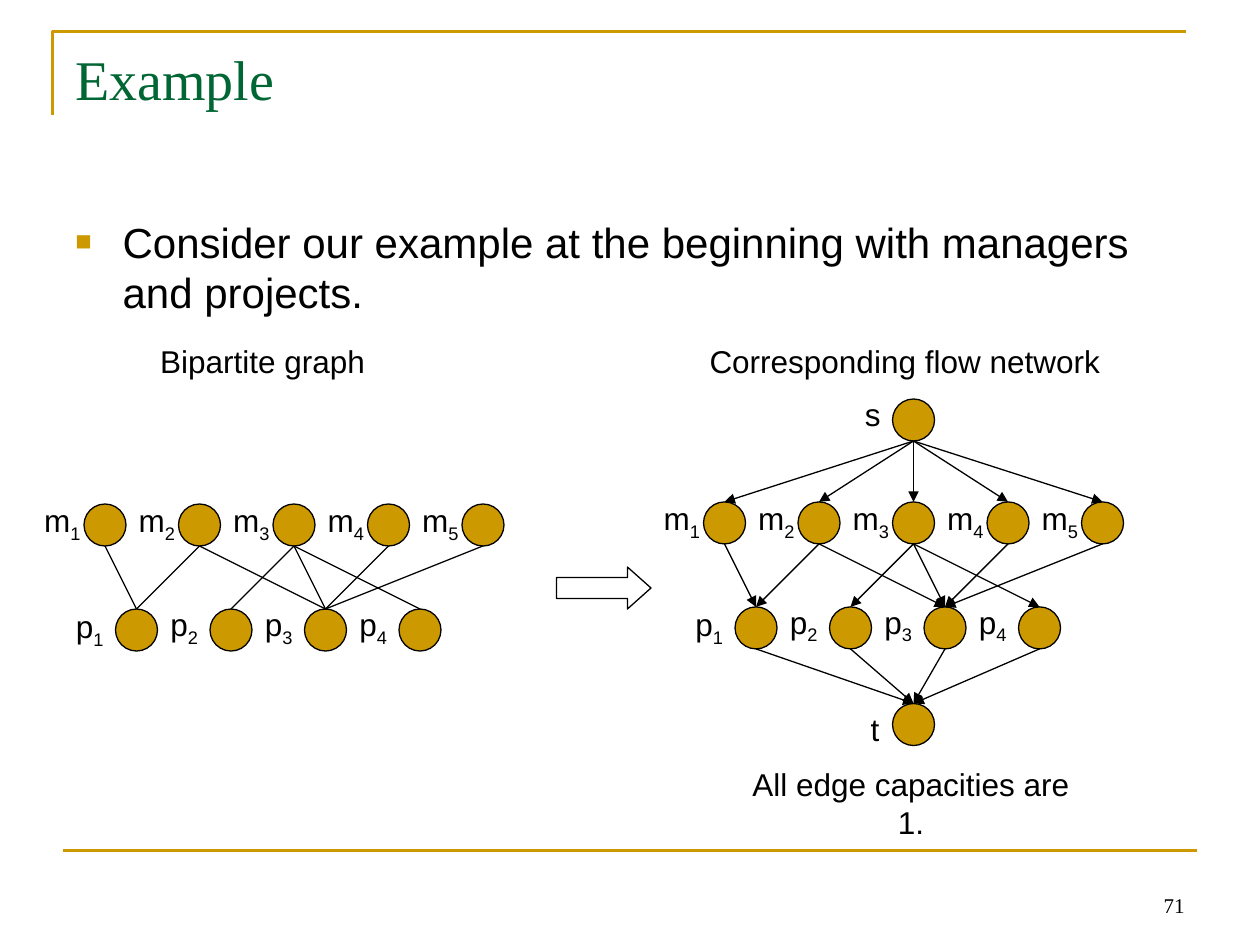
from dataclasses import dataclass

from lxml import etree
from pptx import Presentation
from pptx import util as u
from pptx.dml.color import RGBColor
from pptx.enum import shapes, text
from pptx.oxml import ns

GOLD, GREEN, BLACK = "CC9900", "006633", "000000"
DIAMETER = 24
PITCH = 54
MATCHES = [(1, 1), (2, 1), (2, 3), (3, 2), (3, 3), (3, 4), (4, 3), (5, 3)]


@dataclass(frozen=True)
class Node:
    name: str
    x: float
    y: float
    label_dx: float
    label_dy: float
    label_width: float


@dataclass(frozen=True)
class Caption:
    wording: str
    x: float
    y: float
    width: float


def color(value: str) -> RGBColor:
    return RGBColor.from_string(value)


def add_xml(parent, tag: str, **attributes: str):
    return etree.SubElement(parent, ns.qn(tag), attributes)


def add_text(slide, wording: str, x: float, y: float, width: float, height: float = 28.8, *,
             subscript: str = "", size: float = 18, font: str = "Arial", fill: str = BLACK,
             align=text.PP_ALIGN.CENTER, anchor=text.MSO_ANCHOR.TOP, wrap: bool = False):
    box = slide.shapes.add_textbox(u.Pt(x), u.Pt(y), u.Pt(width), u.Pt(height))
    frame = box.text_frame
    frame.word_wrap = wrap
    frame.vertical_anchor = anchor
    paragraph = frame.paragraphs[0]
    paragraph.alignment = align
    for part, baseline in ((wording, 0), (subscript, -25000)):
        if part:
            run = paragraph.add_run()
            run.text = part
            run.font.size = u.Pt(size)
            run.font.name = font
            run.font.color.rgb = color(fill)
            if baseline:
                run.font._element.set("baseline", str(baseline))
    return paragraph


def add_bullet(paragraph) -> None:
    paragraph.space_before = u.Pt(4.8)
    properties = paragraph._p.get_or_add_pPr()
    properties.set("marL", str(u.Pt(27)))
    properties.set("indent", str(u.Pt(-27)))
    add_xml(add_xml(properties, "a:buClr"), "a:srgbClr", val=GOLD)
    add_xml(properties, "a:buSzPct", val="65000")
    add_xml(properties, "a:buFont", typeface="Arial")
    add_xml(properties, "a:buChar", char="■")


def style_shape(shape, fill: str = "", line: str = BLACK, weight: float = 0.75) -> None:
    shape.shadow.inherit = False
    if fill:
        shape.fill.solid()
        shape.fill.fore_color.rgb = color(fill)
    else:
        shape.fill.background()
    shape.line.color.rgb = color(line)
    shape.line.width = u.Pt(weight)


def add_line(slide, start: tuple[float, float], end: tuple[float, float],
             line: str = BLACK, weight: float = 0.75, arrow: bool = False):
    connector = slide.shapes.add_connector(
        shapes.MSO_CONNECTOR.STRAIGHT, *(u.Pt(value) for value in start + end))
    connector.line.color.rgb = color(line)
    connector.line.width = u.Pt(weight)
    if arrow:
        add_xml(connector.line._get_or_add_ln(), "a:tailEnd", type="triangle")
    add_xml(connector._element.spPr, "a:effectLst")
    return connector


def add_node(slide, node: Node):
    circle = slide.shapes.add_shape(shapes.MSO_SHAPE.OVAL, u.Pt(node.x), u.Pt(node.y),
                                    u.Pt(DIAMETER), u.Pt(DIAMETER))
    style_shape(circle, GOLD)
    add_text(slide, node.name[0], node.x + node.label_dx, node.y + node.label_dy,
             node.label_width, subscript=node.name[1:])
    return circle


def add_edge(slide, source: Node, target: Node, target_circle, arrow: bool) -> None:
    radius = DIAMETER / 2
    edge = add_line(slide, (source.x + radius, source.y + DIAMETER),
                    (target.x + radius, target.y), arrow=arrow)
    edge.end_connect(target_circle, 0)


def add_graph(slide, x: float, y: float, terminals: list[Node], arrow: bool) -> None:
    managers = [Node(f"m{i + 1}", x + i * PITCH, y, -30.3, -5, 36) for i in range(5)]
    projects = [Node(f"p{i + 1}", x + 18 + i * PITCH, y + 60, -30.2, -6 if i else -4.6, 31)
                for i in range(4)]
    nodes = {node.name: node for node in managers + projects + terminals}
    circles = {name: add_node(slide, node) for name, node in nodes.items()}
    edges = [(f"m{manager}", f"p{project}") for manager, project in MATCHES]
    if terminals:
        edges += [("s", manager.name) for manager in managers]
        edges += [(project.name, "t") for project in projects]
    for source, target in edges:
        add_edge(slide, nodes[source], nodes[target], circles[target], arrow)


def add_frame(slide) -> None:
    builder = slide.shapes.build_freeform(30, 66, scale=u.Pt(1))
    builder.add_line_segments([(30, 18), (678, 18)], close=False)
    style_shape(builder.convert_to_shape(), line=GOLD, weight=1.5)
    add_line(slide, (36, 486), (684, 486), GOLD, 1.5)


def main() -> None:
    deck = Presentation()
    deck.slide_width, deck.slide_height = u.Pt(720), u.Pt(540)
    slide = deck.slides.add_slide(deck.slide_layouts[6])

    add_frame(slide)
    add_text(slide, "71", 516, 492, 168, 36, size=12, font="Times New Roman",
             align=text.PP_ALIGN.RIGHT, anchor=text.MSO_ANCHOR.BOTTOM, wrap=True)
    add_text(slide, "Example", 36, 21.6, 648, 90, size=32, font="Times New Roman",
             fill=GREEN, align=text.PP_ALIGN.LEFT, wrap=True)
    statement = add_text(
        slide, "Consider our example at the beginning with managers and projects.",
        36, 120, 648, 356.4, size=24, align=text.PP_ALIGN.LEFT, wrap=True)
    add_bullet(statement)

    terminals = [Node("s", 510, 228, -23.3, -6, 24), Node("t", 510, 402, -19.7, 0, 19.4)]
    add_graph(slide, 48, 288, [], arrow=False)
    add_graph(slide, 402, 286.8, terminals, arrow=True)

    captions = [
        Caption("Bipartite graph", 84, 192, 132),
        Caption("Corresponding flow network", 398, 192, 238),
        Caption("All edge capacities are 1.", 413, 433.5, 215),
    ]
    for caption in captions:
        add_text(slide, caption.wording, caption.x, caption.y, caption.width)

    transformation = slide.shapes.add_shape(
        shapes.MSO_SHAPE.RIGHT_ARROW, u.Pt(318), u.Pt(324), u.Pt(54), u.Pt(24))
    transformation.adjustments[0] = 0.5
    transformation.adjustments[1] = 0.56
    style_shape(transformation)

    deck.save("out.pptx")


if __name__ == "__main__":
    main()
